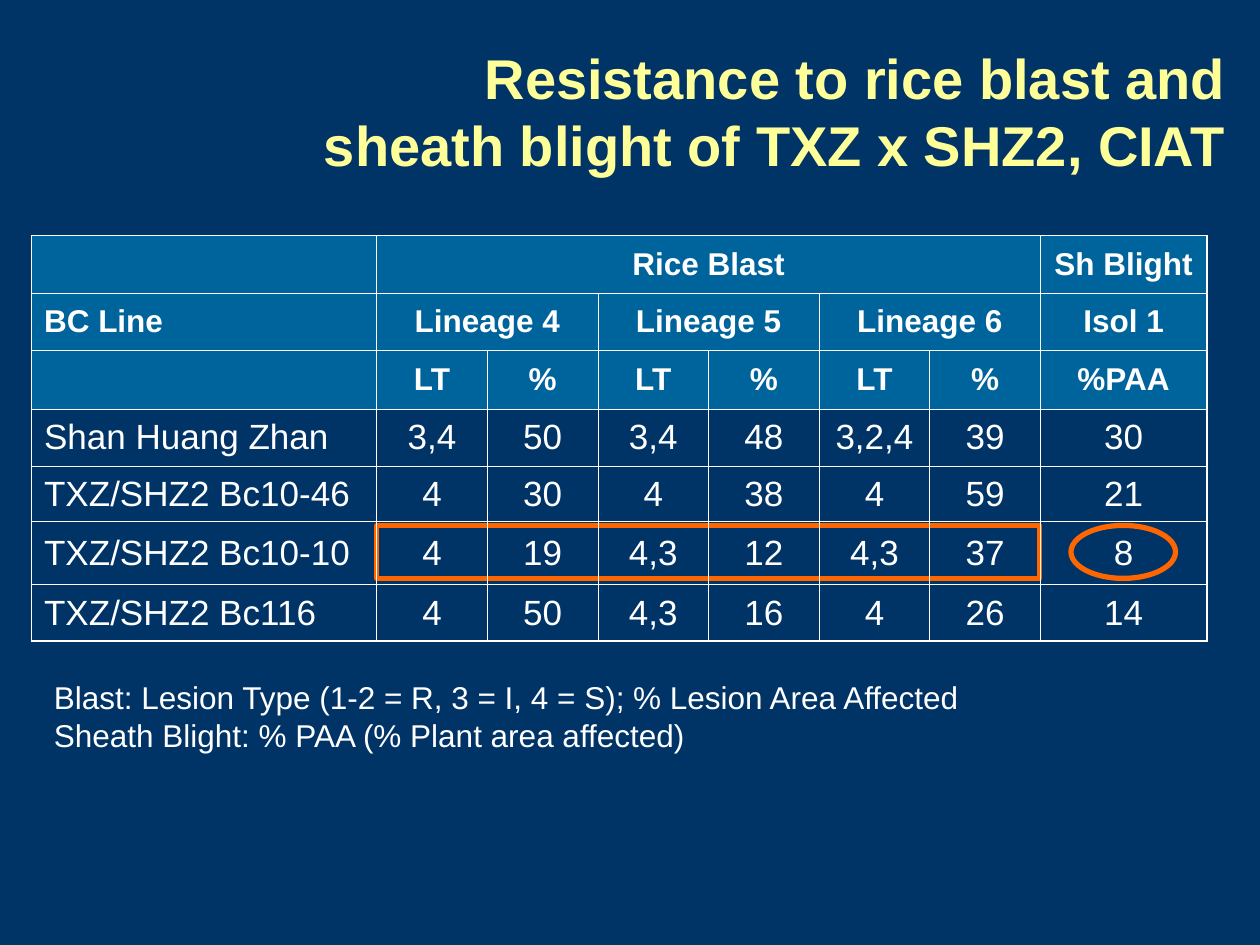
from lxml import etree
from pptx import Presentation
from pptx.dml.color import RGBColor
from pptx.enum.shapes import MSO_SHAPE as Shape
from pptx.enum.text import MSO_ANCHOR as Anchor, PP_ALIGN as Align
from pptx.oxml.ns import qn
from pptx.util import Inches, Pt

NAVY = RGBColor(0x00, 0x33, 0x66)
BLUE = RGBColor(0x00, 0x64, 0x9C)
WHITE = RGBColor(0xFF, 0xFF, 0xFF)
YELLOW = RGBColor(0xFF, 0xFF, 0x99)
ORANGE = RGBColor(0xFF, 0x66, 0x00)

HEADER_ROWS = 3
ROWS = [
    ["", "Rice Blast", "", "", "", "", "", "Sh Blight"],
    ["BC Line", "Lineage 4", "", "Lineage 5", "", "Lineage 6", "", "Isol 1"],
    ["", "LT", "%", "LT", "%", "LT", "%", "%PAA"],
    ["Shan Huang Zhan", "3,4", "50", "3,4", "48", "3,2,4", "39", "30"],
    ["TXZ/SHZ2 Bc10-46", "4", "30", "4", "38", "4", "59", "21"],
    ["TXZ/SHZ2 Bc10-10", "4", "19", "4,3", "12", "4,3", "37", "8"],
    ["TXZ/SHZ2 Bc116", "4", "50", "4,3", "16", "4", "26", "14"],
]
ROW_HEIGHTS = [0.46, 0.45, 0.47, 0.45, 0.44, 0.5, 0.45]
SPANS = [(0, 1, 6), (1, 1, 2), (1, 3, 4), (1, 5, 6)]
LABEL_WIDTH, BLIGHT_WIDTH = 2.74, 1.32
THIN, THICK = 0.45, 1.08


def write_text(frame, text, size=18, color=WHITE, bold=False, align=Align.LEFT):
    for index, line in enumerate(text.split("\n")):
        paragraph = frame.add_paragraph() if index else frame.paragraphs[0]
        paragraph.alignment = align
        run = paragraph.add_run()
        run.text = line
        run.font.name = "Arial"
        run.font.size = Pt(size)
        run.font.bold = bold
        run.font.color.rgb = color


def add_text(slide, box, text, wrap=True, anchor=Anchor.TOP, **text_format):
    frame = slide.shapes.add_textbox(*map(Inches, box)).text_frame
    frame.word_wrap = wrap
    frame.vertical_anchor = anchor
    write_text(frame, text, **text_format)


def add_highlight(slide, kind, box):
    shape = slide.shapes.add_shape(kind, *map(Inches, box))
    shape.shadow.inherit = False
    shape.fill.background()
    shape.line.color.rgb = ORANGE
    shape.line.width = Pt(3)


def set_borders(cell, widths):
    properties = cell._tc.get_or_add_tcPr()
    for side, width in widths.items():
        line = etree.SubElement(properties, qn(f"a:ln{side}"), w=str(Pt(width)))
        fill = etree.SubElement(line, qn("a:solidFill"))
        etree.SubElement(fill, qn("a:srgbClr"), val=str(WHITE))


def add_results_table(slide, box):
    row_count, column_count = len(ROWS), len(ROWS[0])
    frame = slide.shapes.add_table(row_count, column_count, *map(Inches, box))
    table = frame.table
    table.first_row = table.horz_banding = False

    blast_width = (box[2] - LABEL_WIDTH - BLIGHT_WIDTH) / (column_count - 2)
    widths = [LABEL_WIDTH] + [blast_width] * (column_count - 2) + [BLIGHT_WIDTH]
    for column, width in zip(table.columns, widths):
        column.width = Inches(width)
    for row, height in zip(table.rows, ROW_HEIGHTS):
        row.height = Inches(height)
    for row, first, last in SPANS:
        table.cell(row, first).merge(table.cell(row, last))

    for r, values in enumerate(ROWS):
        header = r < HEADER_ROWS
        for c, value in enumerate(values):
            cell = table.cell(r, c)
            set_borders(cell, {
                "L": THICK if c == 0 else THIN,
                "R": THICK if c == column_count - 1 else THIN,
                "T": THICK if r == 0 else THIN,
                "B": THICK if r == row_count - 1 else THIN,
            })
            if header:
                cell.fill.solid()
                cell.fill.fore_color.rgb = BLUE
            else:
                cell.fill.background()
            cell.vertical_anchor = Anchor.MIDDLE
            if value:
                write_text(cell.text_frame, value, size=18 if header else 20,
                           bold=header, align=Align.CENTER if c else Align.LEFT)


def build_resistance_slide(presentation):
    slide = presentation.slides.add_slide(presentation.slide_layouts[6])
    slide.background.fill.solid()
    slide.background.fill.fore_color.rgb = NAVY

    add_highlight(slide, Shape.RECTANGLE, (2.99, 4.17, 5.26, 0.42))
    add_highlight(slide, Shape.OVAL, (8.5, 4.17, 0.83, 0.42))
    add_text(slide, (0.33, 5.33, 7.43, 0.7),
             "Blast: Lesion Type (1-2 = R, 3 = I, 4 = S); % Lesion Area Affected\n"
             "Sheath Blight: % PAA (% Plant area affected)", wrap=False)
    add_text(slide, (2.25, 0.25, 7.58, 1.25),
             "Resistance to rice blast and sheath blight of TXZ x SHZ2, CIAT",
             anchor=Anchor.MIDDLE, size=32, color=YELLOW, bold=True, align=Align.RIGHT)
    add_results_table(slide, (0.25, 1.87, 9.33, sum(ROW_HEIGHTS)))


def main():
    presentation = Presentation()
    presentation.slide_width = Inches(10)
    presentation.slide_height = Inches(7.5)
    build_resistance_slide(presentation)
    presentation.save("out.pptx")


if __name__ == "__main__":
    main()
